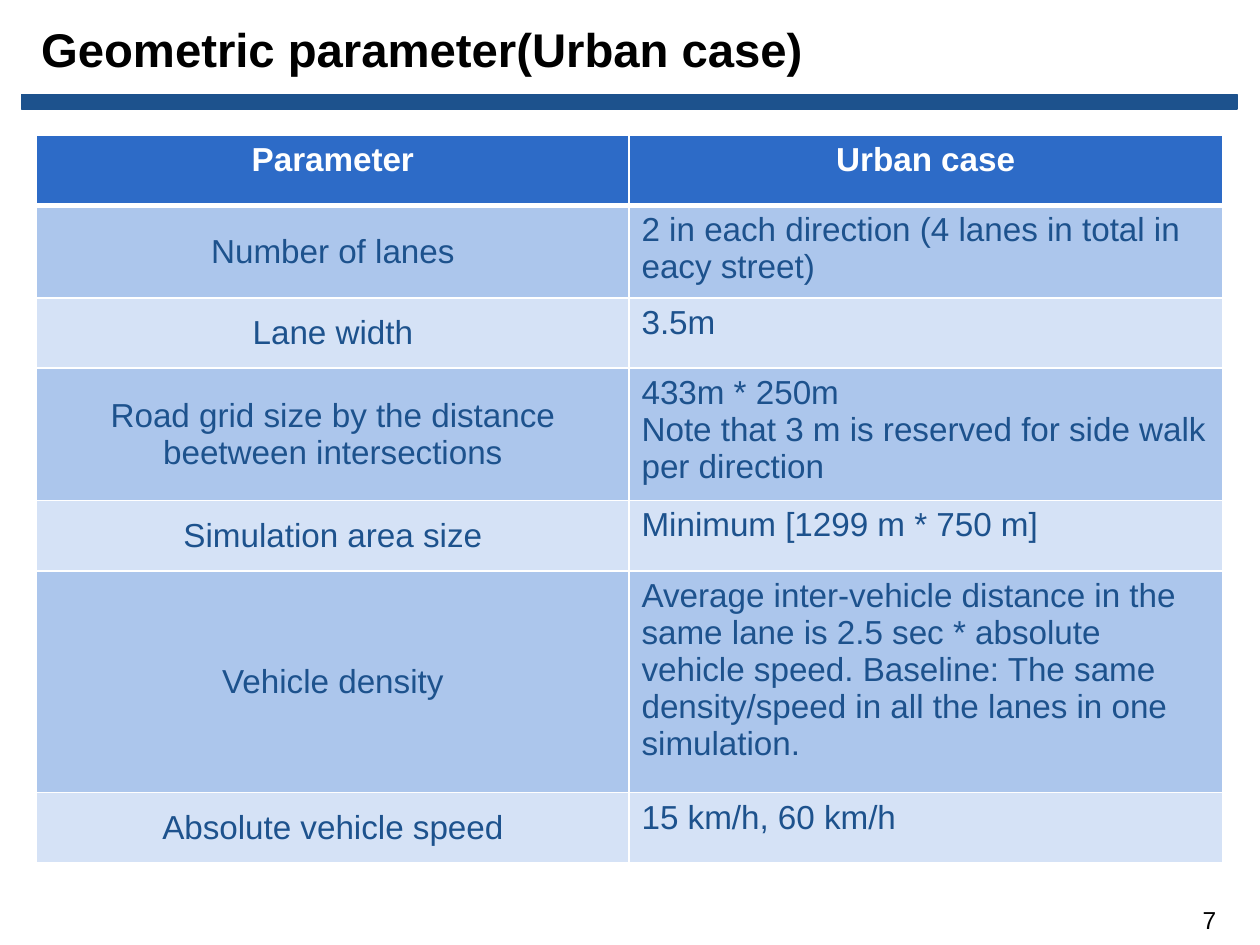
from lxml import etree
from pptx import Presentation
from pptx.dml.color import RGBColor
from pptx.enum import shapes, text
from pptx.oxml import ns
from pptx import util as u

HUES = {"navy": "1D528D", "head": "2D6BC7", "mid": "ACC6EC",
        "pale": "D5E2F6", "white": "FFFFFF", "black": "000000"}
FONT = "Arial"
ROWS = [
    ("Parameter", "Urban case"),
    ("Number of lanes",
     "2 in each direction (4 lanes in total in eacy street)"),
    ("Lane width", "3.5m"),
    ("Road grid size by the distance beetween intersections",
     "433m * 250m\nNote that 3 m is reserved for side walk per direction"),
    ("Simulation area size", "Minimum [1299 m * 750 m]"),
    ("Vehicle density",
     "Average inter-vehicle distance in the same lane is 2.5 sec * absolute "
     "vehicle speed. Baseline: The same density/speed in all the lanes in one "
     "simulation."),
    ("Absolute vehicle speed", "15 km/h, 60 km/h"),
]
WIDE = [11.94, 11.96]
TALL = [1.42, 1.42, 1.42, 2.44, 1.42, 4.47, 1.42]
LEFT, MID, RIGHT = (text.PP_ALIGN.LEFT, text.PP_ALIGN.CENTER,
                    text.PP_ALIGN.RIGHT)
TOP, HALF = text.MSO_ANCHOR.TOP, text.MSO_ANCHOR.MIDDLE


def hue(name):
    return RGBColor.from_string(HUES[name])


class Deck:
    def __init__(self):
        self.prs = Presentation()
        self.prs.slide_width, self.prs.slide_height = u.Cm(25.4), u.Cm(19.05)
        self.slide = self.prs.slides.add_slide(self.prs.slide_layouts[6])

    def lines(self, frame, words, size, tint, bold=False, align=LEFT):
        for i, line in enumerate(words.split("\n")):
            para = frame.add_paragraph() if i else frame.paragraphs[0]
            para.alignment = align
            run = para.add_run()
            run.text = line
            font = run.font
            font.name, font.size, font.bold = FONT, u.Pt(size), bold
            font.color.rgb = hue(tint)

    def label(self, words, box, size, bold=False, align=LEFT, anchor=TOP):
        frame = self.slide.shapes.add_textbox(*map(u.Cm, box)).text_frame
        frame.word_wrap = True
        frame.vertical_anchor = anchor
        self.lines(frame, words, size, "black", bold, align)

    def bar(self, box, tint):
        bar = self.slide.shapes.add_shape(
            shapes.MSO_SHAPE.RECTANGLE, *map(u.Cm, box))
        bar.shadow.inherit = False
        bar.fill.solid()
        bar.fill.fore_color.rgb = hue(tint)
        bar.line.color.rgb = hue(tint)
        bar.line.width = u.Pt(0.75)

    def edge(self, cell, side, width):
        props = cell._tc.get_or_add_tcPr()
        line = etree.SubElement(props, ns.qn(f"a:ln{side}"),
                                w=str(u.Pt(width)))
        fill = etree.SubElement(line, ns.qn("a:solidFill"))
        etree.SubElement(fill, ns.qn("a:srgbClr"), val=HUES["white"])

    def cell(self, cell, words, row, col):
        head = row == 0
        for side in "LRTB":
            thick = (row, side) in ((0, "B"), (1, "T"))
            self.edge(cell, side, 3 if thick else 1)
        cell.fill.solid()
        cell.fill.fore_color.rgb = hue(
            "head" if head else "mid" if row % 2 else "pale")
        cell.vertical_anchor = TOP if head or col else HALF
        self.lines(cell.text_frame, words, 19, "white" if head else "navy",
                   head, MID if head or not col else LEFT)

    def table(self, rows, left, top, wide, tall):
        grid = self.slide.shapes.add_table(
            len(rows), len(wide), u.Cm(left), u.Cm(top),
            u.Cm(sum(wide)), u.Cm(sum(tall))).table
        for col, size in zip(grid.columns, wide):
            col.width = u.Cm(size)
        for r, (row, size) in enumerate(zip(rows, tall)):
            grid.rows[r].height = u.Cm(size)
            for c, words in enumerate(row):
                self.cell(grid.cell(r, c), words, r, c)


def main():
    deck = Deck()
    deck.bar((0.43, 1.9, 24.51, 0.3), "navy")
    deck.label("Geometric parameter(Urban case)", (0.58, 0.03, 24.13, 1.9),
               27, bold=True, anchor=HALF)
    deck.table(ROWS, 0.74, 2.72, WIDE, TALL)
    deck.label("7", (23.5, 18.11, 1.27, 0.69), 14, align=RIGHT)
    deck.prs.save("out.pptx")


if __name__ == "__main__":
    main()
